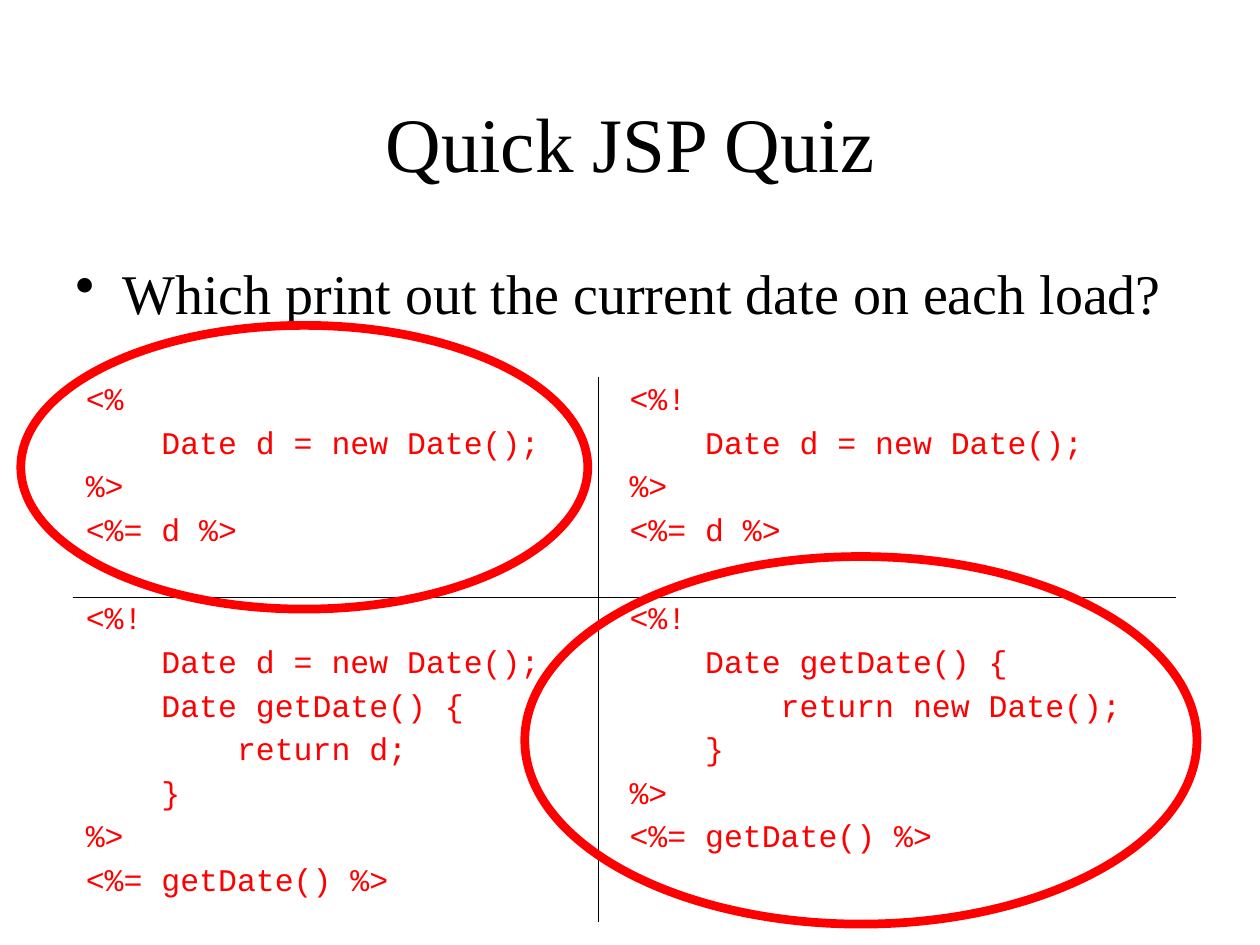
from dataclasses import dataclass

from lxml.etree import SubElement
from pptx import Presentation
from pptx.dml.color import RGBColor
from pptx.enum.shapes import MSO_SHAPE
from pptx.enum.text import MSO_ANCHOR, PP_ALIGN
from pptx.oxml import parse_xml
from pptx.oxml.ns import qn
from pptx.util import Cm, Pt


@dataclass(frozen=True)
class Theme:
    ink: str = "000000"
    accent: str = "FF0000"
    serif: str = "Times New Roman"
    mono: str = "Courier New"
    title_size: float = 44
    question_size: float = 32
    code_size: float = 18
    ring_width: float = 5
    rule_width: float = 0.45


THEME = Theme()
DRAWING = "http://schemas.openxmlformats.org/drawingml/2006/main"
COLUMN_WIDTHS = (10.58, 11.64)
ROW_HEIGHTS = (4.42, 6.56)
COLUMN_INSETS = (0.25, 0.63)
QUIZ = (
    (
        """<%
    Date d = new Date();
%>
<%= d %>""",
        """<%!
    Date d = new Date();
%>
<%= d %>""",
    ),
    (
        """<%!
    Date d = new Date();
    Date getDate() {
        return d;
    }
%>
<%= getDate() %>""",
        """<%!
    Date getDate() {
        return new Date();
    }
%>
<%= getDate() %>""",
    ),
)
ANSWER_RINGS = ((0.42, 6.56, 11.43, 5.72), (10.58, 11.22, 13.55, 7.41))


def apply_formats(target, formats):
    for name, value in formats.items():
        setattr(target, name, value)


def write_span(para, text, font, size, color):
    span = para.add_run()
    span.text = text
    apply_formats(span.font, {"name": font, "size": Pt(size), "bold": False})
    span.font.color.rgb = RGBColor.from_string(color)


def add_text(page, place, text, size, anchor, formats):
    box = page.shapes.add_textbox(*map(Cm, place))
    apply_formats(box.text_frame, {"word_wrap": True, "vertical_anchor": anchor})
    para = box.text_frame.paragraphs[0]
    apply_formats(para, formats)
    write_span(para, text, THEME.serif, size, THEME.ink)
    return para


def add_bullet(para, indent):
    properties = para._p.get_or_add_pPr()
    for name, value in {"marL": indent, "indent": -indent}.items():
        properties.set(name, str(value))
    SubElement(properties, qn("a:buChar"), char="•")


def draw_borders(cell, edges):
    properties = cell._tc.get_or_add_tcPr()
    for position, edge in enumerate(edges):
        properties.insert(position, parse_xml(
            f'<a:ln{edge} xmlns:a="{DRAWING}" w="{Pt(THEME.rule_width)}">'
            f'<a:solidFill><a:srgbClr val="{THEME.ink}"/></a:solidFill></a:ln{edge}>'
        ))


def fill_code_cell(cell, code, inset, edges):
    apply_formats(cell, {
        "margin_left": Cm(inset), "margin_right": Cm(0.25),
        "margin_top": Cm(0.13), "margin_bottom": Cm(0.13),
        "vertical_anchor": MSO_ANCHOR.TOP,
    })
    cell.fill.background()
    draw_borders(cell, edges)
    for index, line in enumerate(code.splitlines()):
        frame = cell.text_frame
        para = frame.add_paragraph() if index else frame.paragraphs[0]
        para.space_before = Pt(4.5)
        write_span(para, line, THEME.mono, THEME.code_size, THEME.accent)


def add_quiz_table(page, left, top):
    size = (sum(COLUMN_WIDTHS), sum(ROW_HEIGHTS))
    table = page.shapes.add_table(2, 2, *map(Cm, (left, top, *size))).table
    apply_formats(table, {"first_row": False, "horz_banding": False})
    for column, width in zip(table.columns, COLUMN_WIDTHS):
        column.width = Cm(width)
    for row, height in zip(table.rows, ROW_HEIGHTS):
        row.height = Cm(height)
    for row_index, snippets in enumerate(QUIZ):
        for column_index, code in enumerate(snippets):
            edges = "RL"[column_index] + "BT"[row_index]
            fill_code_cell(table.cell(row_index, column_index), code,
                           COLUMN_INSETS[column_index], edges)


def add_ring(page, place):
    ring = page.shapes.add_shape(MSO_SHAPE.OVAL, *map(Cm, place))
    ring.shadow.inherit = False
    ring.fill.background()
    ring.line.color.rgb = RGBColor.from_string(THEME.accent)
    ring.line.width = Pt(THEME.ring_width)


def main():
    deck = Presentation()
    apply_formats(deck, {"slide_width": Cm(25.4), "slide_height": Cm(19.05)})
    page = deck.slides.add_slide(deck.slide_layouts[6])
    add_text(page, (1.91, 1.27, 21.59, 3.18), "Quick JSP Quiz",
             THEME.title_size, MSO_ANCHOR.MIDDLE, {"alignment": PP_ALIGN.CENTER})
    question = add_text(page, (1.27, 5.08, 22.43, 1.91),
                        "Which print out the current date on each load?",
                        THEME.question_size, MSO_ANCHOR.TOP, {"space_before": Pt(8)})
    add_bullet(question, Cm(0.95))
    add_quiz_table(page, 1.48, 7.62)
    for place in ANSWER_RINGS:
        add_ring(page, place)
    deck.save("out.pptx")


if __name__ == "__main__":
    main()
